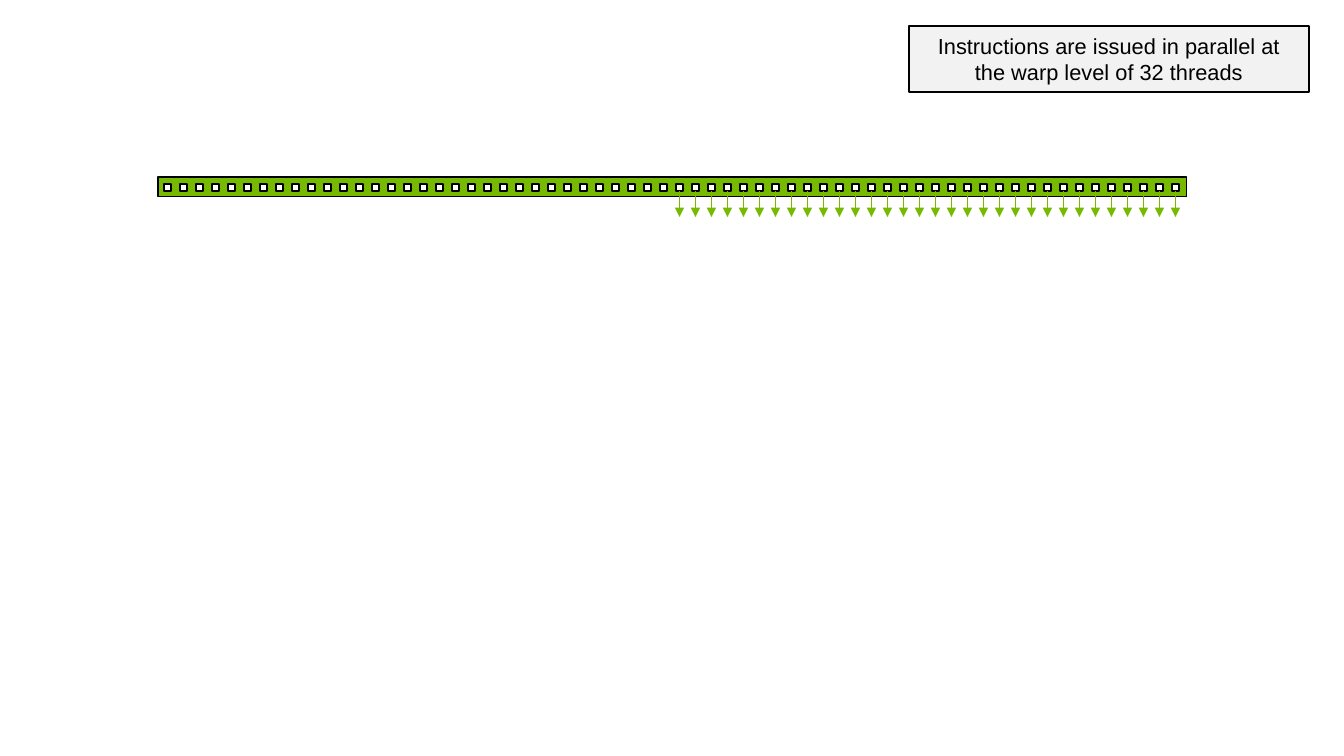
from lxml.etree import SubElement
from pptx import Presentation
from pptx.dml.color import RGBColor
from pptx.enum.shapes import MSO_CONNECTOR, MSO_SHAPE
from pptx.enum.text import MSO_ANCHOR, PP_ALIGN
from pptx.oxml.ns import qn
from pptx.util import Emu, Pt

PX_PER_INCH = 112
GREEN, WHITE, BLACK, GREY = "76B900", "FFFFFF", "000000", "F2F2F2"
WARP_SIZE, WARPS = 32, 2
THREAD_LEFT, THREAD_TOP, THREAD_SIZE, THREAD_PITCH = 164, 184, 7, 16
ARROW_END = 217


def px(n):
    return Emu(round(n * 914400 / PX_PER_INCH))


def color(value):
    return RGBColor.from_string(value)


def write(sp, text, size=14, font="Arial", fill=BLACK, align=PP_ALIGN.CENTER):
    tf = sp.text_frame
    tf.word_wrap = True
    tf.vertical_anchor = MSO_ANCHOR.MIDDLE
    p = tf.paragraphs[0]
    p.alignment = align
    r = p.add_run()
    r.text = text
    r.font.size = Pt(size)
    r.font.name = font
    r.font.color.rgb = color(fill)


class Painter:
    def __init__(self, s, line=BLACK, weight=0.75):
        self.s = s
        self.line = line
        self.weight = weight

    def rect(self, x, y, w, h, fill, weight=None):
        sp = self.s.shapes.add_shape(MSO_SHAPE.RECTANGLE, px(x), px(y), px(w), px(h))
        sp.shadow.inherit = False
        sp.fill.solid()
        sp.fill.fore_color.rgb = color(fill)
        sp.line.color.rgb = color(self.line)
        sp.line.width = Pt(weight or self.weight)
        return sp

    def arrow_down(self, sp, bottom, line):
        c = self.s.shapes.add_connector(MSO_CONNECTOR.STRAIGHT, 0, 0, 0, px(bottom))
        c.begin_connect(sp, 2)
        c.end_x = c.begin_x
        c.line.color.rgb = color(line)
        c.line.width = Pt(self.weight)
        SubElement(c.line._get_or_add_ln(), qn("a:tailEnd"), type="triangle")
        SubElement(c._element.spPr, qn("a:effectLst"))
        return c


def main():
    prs = Presentation()
    prs.slide_width, prs.slide_height = px(1344), px(756)
    s = prs.slides.add_slide(prs.slide_layouts[6])
    painter = Painter(s)

    painter.rect(158, 177, 1029, 20, GREEN)
    threads = [
        painter.rect(THREAD_LEFT + i * THREAD_PITCH, THREAD_TOP, THREAD_SIZE,
                     THREAD_SIZE, WHITE, weight=0.75 if i < WARP_SIZE else 1.5)
        for i in range(WARPS * WARP_SIZE)
    ]
    for thread in threads[WARP_SIZE:]:
        painter.arrow_down(thread, ARROW_END, GREEN)

    note = painter.rect(909, 26, 400, 66, GREY)
    write(note, "Instructions are issued in parallel at the warp level of 32 threads")
    prs.save("out.pptx")


if __name__ == "__main__":
    main()
